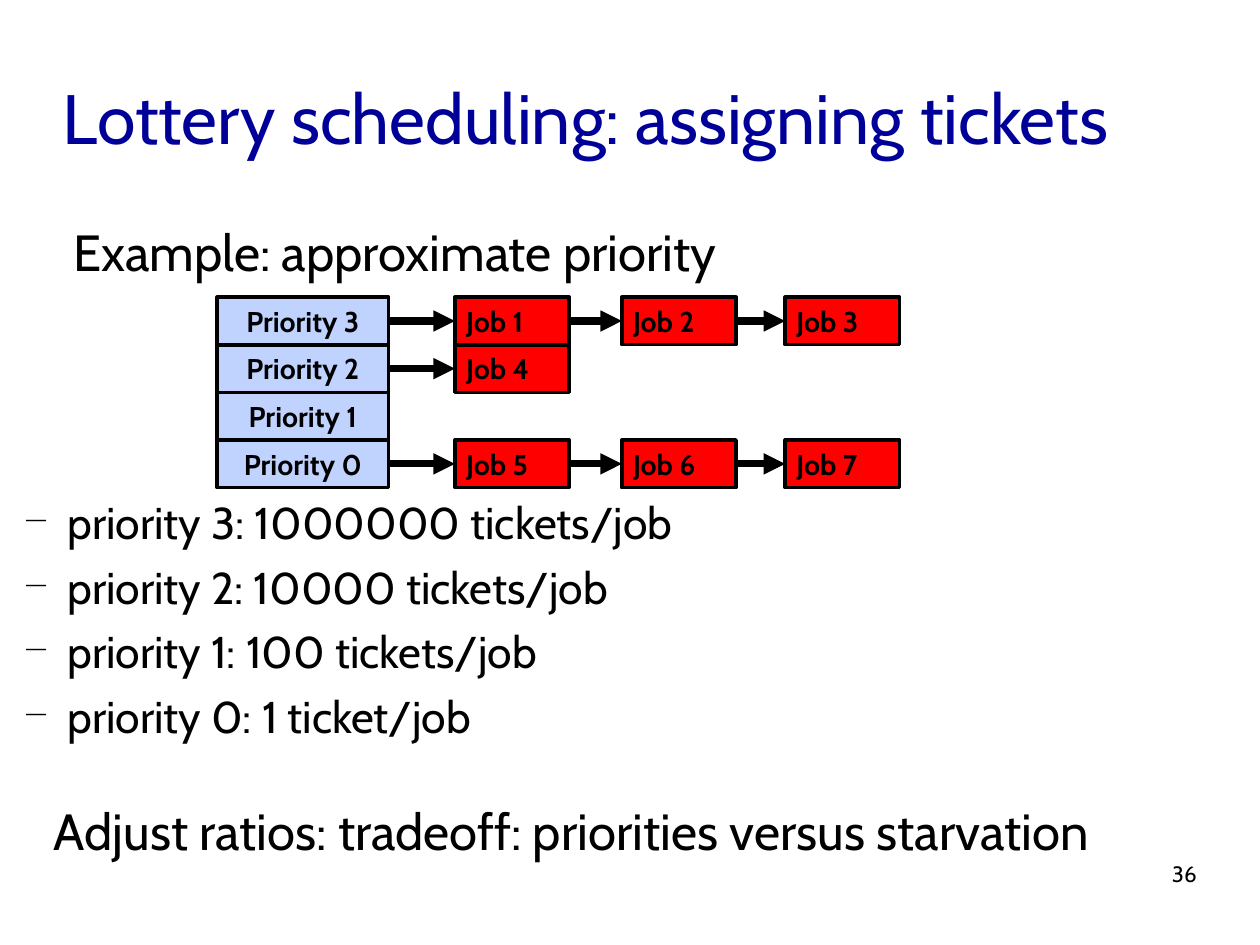
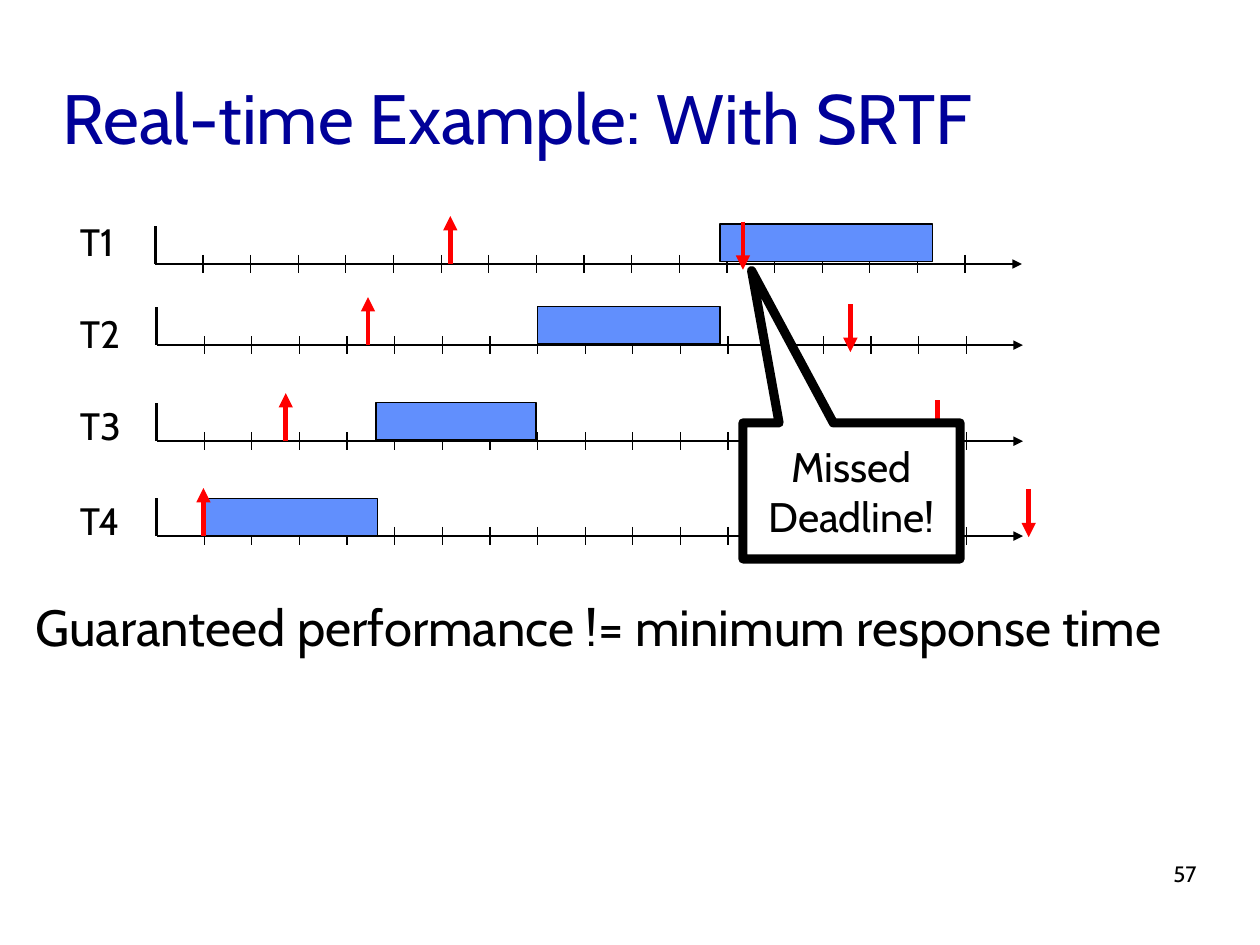
"""Builds two scheduling slides: lottery tickets and a real-time timeline."""
from lxml.etree import SubElement
from pptx import Presentation
from pptx.dml.color import RGBColor
from pptx.enum.shapes import MSO_CONNECTOR, MSO_SHAPE
from pptx.enum.text import MSO_ANCHOR, PP_ALIGN
from pptx.oxml.ns import qn
from pptx.util import Inches, Pt

CM_PER_INCH = 2.54
PAGE_WIDTH, PAGE_HEIGHT = 28 / CM_PER_INCH, 21 / CM_PER_INCH
FONT = "Cabin"
BLACK = RGBColor(0x00, 0x00, 0x00)
WHITE = RGBColor(0xFF, 0xFF, 0xFF)
NAVY = RGBColor(0x00, 0x00, 0x99)
RED = RGBColor(0xFF, 0x00, 0x00)
PALE_BLUE = RGBColor(0xC0, 0xD2, 0xFE)
BAR_BLUE = RGBColor(0x61, 0x8F, 0xFD)

QUEUES = [
    ("Priority 3", ["Job 1", "Job 2", "Job 3"]),
    ("Priority 2", ["Job 4"]),
    ("Priority 1", []),
    ("Priority 0", ["Job 5", "Job 6", "Job 7"]),
]
JOB_LEFTS = [3.98, 5.44, 6.87]
QUEUE_LEFT, QUEUE_TOP, QUEUE_WIDTH, JOB_WIDTH = 1.9, 2.6, 1.5, 1
QUEUE_HEIGHT = 5 / 12
TICKETS = [
    "priority 3: 1000000 tickets/job",
    "priority 2: 10000 tickets/job",
    "priority 1: 100 tickets/job",
    "priority 0: 1 ticket/job",
]

TASKS = [
    dict(name="T1", label_top=1.86, start=1.36, axis=2.31,
         bar=(6.3, 1.96, 1.86), release=3.94, deadline=(6.5, 2.36)),
    dict(name="T2", label_top=2.67, start=1.37, axis=3.02,
         bar=(4.7, 2.68, 1.6), release=3.22, deadline=(7.44, 3.08)),
    dict(name="T3", label_top=3.47, start=1.37, axis=3.86,
         bar=(3.29, 3.52, 1.4), release=2.5, deadline=(8.2, 3.92)),
    dict(name="T4", label_top=4.3, start=1.37, axis=4.69,
         bar=(1.78, 4.36, 1.52), release=1.78, deadline=(9, 4.7)),
]
AXIS_LENGTH, AXIS_HEIGHT = 7.58, 0.33
TICK_STEP, TICK_COUNT = 5 / 12, 17
ARROW_LENGTH = 0.42


def place(left, top, width, height):
    """Return a position and size in lengths."""
    return [Inches(value) for value in (left, top, width, height)]


def set_frame(frame, insets=(0, 0), anchor=MSO_ANCHOR.TOP, wrap=True):
    """Set the margins, anchor and wrapping of a text frame."""
    frame.margin_left = frame.margin_right = Inches(insets[0])
    frame.margin_top = frame.margin_bottom = Inches(insets[1])
    frame.vertical_anchor = anchor
    frame.word_wrap = wrap


def write(frame, text, size=18, color=BLACK, bold=False, align=PP_ALIGN.LEFT,
          indent=0, before=0, after=0, bullet=None):
    """Add one formatted paragraph, using the empty first one if there is one."""
    para = frame.paragraphs[0] if not frame.text else frame.add_paragraph()
    properties = para._p.get_or_add_pPr()
    properties.set("marL", str(Inches(indent)))
    properties.set("indent", str(-Inches(indent) if bullet else 0))
    if bullet:
        SubElement(properties, qn("a:buSzPct"), val="45000")
        SubElement(properties, qn("a:buChar"), char=bullet)
    para.alignment = align
    para.space_before, para.space_after = Pt(before), Pt(after)
    span = para.add_run()
    span.text = text
    span.font.name, span.font.size = FONT, Pt(size)
    span.font.bold, span.font.color.rgb = bold, color


def add_text_box(page, left, top, width, height, insets=(0, 0)):
    """Add an empty text box and return its text frame."""
    frame = page.shapes.add_textbox(*place(left, top, width, height)).text_frame
    set_frame(frame, insets)
    return frame


def add_block(page, left, top, width, height, fill, weight,
              kind=MSO_SHAPE.RECTANGLE):
    """Add a filled, outlined shape."""
    block = page.shapes.add_shape(kind, *place(left, top, width, height))
    block.shadow.inherit = False
    block.fill.solid()
    block.fill.fore_color.rgb = fill
    block.line.color.rgb = BLACK
    block.line.width = Pt(weight)
    return block


def add_line(page, left, top, right, bottom, weight, color=BLACK, arrow=False):
    """Add a straight line, with an arrowhead at its end if wanted."""
    line = page.shapes.add_connector(
        MSO_CONNECTOR.STRAIGHT, *place(left, top, right, bottom))
    line.line.color.rgb = color
    line.line.width = Pt(weight)
    if arrow:
        SubElement(line.line._get_or_add_ln(), qn("a:tailEnd"), type="triangle")
    SubElement(line._element.spPr, qn("a:effectLst"))


def new_page(deck, title, number):
    """Add a slide with its title and page number."""
    page = deck.slides.add_slide(deck.slide_layouts[5])
    heading = page.shapes.title
    heading.left, heading.top, heading.width, heading.height = place(
        0.55, 0.33, 9.92, 1.38)
    set_frame(heading.text_frame, anchor=MSO_ANCHOR.MIDDLE)
    write(heading.text_frame, title, size=44, color=NAVY)
    write(add_text_box(page, 7.9, 7.53, 2.57, 0.57), number, size=14,
          align=PP_ALIGN.RIGHT)
    return page


def add_queue_cell(page, text, left, top, width, fill, align):
    """Add one labelled box of the priority queues."""
    cell = add_block(page, left, top, width, QUEUE_HEIGHT, fill, 2.25)
    set_frame(cell.text_frame, (0.1, 0.05), MSO_ANCHOR.MIDDLE)
    write(cell.text_frame, text, bold=True, align=align)


def build_lottery(deck):
    """Build the slide on assigning lottery tickets."""
    page = new_page(deck, "Lottery scheduling: assigning tickets", "36")
    write(add_text_box(page, 0.4, 1.93, 10.07, 0.67),
          "Example: approximate priority", size=32, indent=0.24)
    for row, (priority, jobs) in enumerate(QUEUES):
        top = QUEUE_TOP + row * QUEUE_HEIGHT
        middle = top + QUEUE_HEIGHT / 2
        add_queue_cell(page, priority, QUEUE_LEFT, top, QUEUE_WIDTH,
                       PALE_BLUE, PP_ALIGN.CENTER)
        previous_right = QUEUE_LEFT + QUEUE_WIDTH
        for job, left in zip(jobs, JOB_LEFTS):
            add_queue_cell(page, job, left, top, JOB_WIDTH, RED, PP_ALIGN.LEFT)
            add_line(page, previous_right, middle, left, middle, 4.5, arrow=True)
            previous_right = left + JOB_WIDTH
    body = add_text_box(page, 0.23, 4.33, 10.07, 3.27)
    for ticket in TICKETS:
        write(body, ticket, size=28, indent=0.36, after=7.2, bullet="―")
    write(body, "Adjust ratios: tradeoff: priorities versus starvation",
          size=32, indent=0.24, before=28.8, after=7.1)


def add_timeline(page, name, label_top, start, axis, bar, release, deadline):
    """Add one task: label, axis with ticks, run bar, release and deadline."""
    write(add_text_box(page, 0.6, label_top, 0.76, 0.83, (0.1, 0.05)), name, size=24)
    add_line(page, start, axis, start + AXIS_LENGTH, axis, 1.5, arrow=True)
    add_line(page, start, axis, start, axis - AXIS_HEIGHT, 1.5)
    for tick in range(1, TICK_COUNT + 1):
        x = start + tick * TICK_STEP
        add_line(page, x, axis - 0.08, x, axis + 0.08, 0.75)
    add_block(page, *bar, AXIS_HEIGHT, BAR_BLUE, 0.75)
    add_line(page, release, axis, release, axis - ARROW_LENGTH, 3, RED, arrow=True)
    x, tip = deadline
    add_line(page, x, tip - ARROW_LENGTH, x, tip, 3, RED, arrow=True)


def build_real_time(deck):
    """Build the slide with the real-time schedule."""
    page = new_page(deck, "Real-time Example: With SRTF", "57")
    for task in TASKS:
        add_timeline(page, **task)
    callout = add_block(page, 6.5, 3.7, 1.9, 1.19, WHITE, 5.75,
                        MSO_SHAPE.RECTANGULAR_CALLOUT)
    callout.adjustments[0], callout.adjustments[1] = -0.46, -1.62
    SubElement(callout.line._get_or_add_ln(), qn("a:round"))
    set_frame(callout.text_frame, (0.14, 0.09), MSO_ANCHOR.MIDDLE, wrap=False)
    for word in ("Missed", "Deadline!"):
        write(callout.text_frame, word, size=26, align=PP_ALIGN.CENTER)
    write(add_text_box(page, 0.31, 5.21, 10.39, 1.19),
          "Guaranteed performance != minimum response time", size=32)


def main():
    """Build and save the deck."""
    deck = Presentation()
    deck.slide_width, deck.slide_height = Inches(PAGE_WIDTH), Inches(PAGE_HEIGHT)
    build_lottery(deck)
    build_real_time(deck)
    deck.save("out.pptx")


if __name__ == "__main__":
    main()
